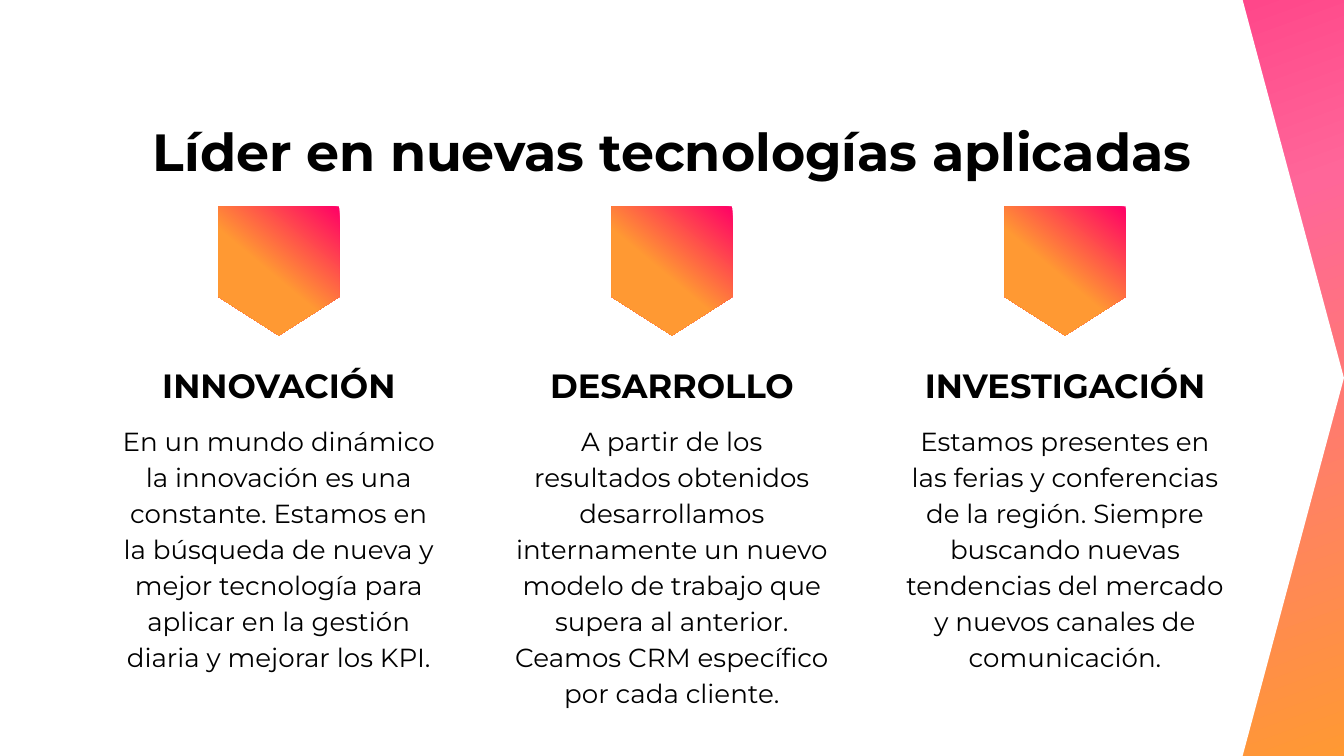
from copy import deepcopy

from pptx import Presentation
from pptx.dml.color import RGBColor
from pptx.enum.shapes import MSO_SHAPE
from pptx.enum.text import MSO_ANCHOR, MSO_AUTO_SIZE, PP_ALIGN
from pptx.oxml.ns import qn
from pptx.util import Pt

PENTAGON = MSO_SHAPE.PENTAGON
TOP = MSO_ANCHOR.TOP
NO_AUTOFIT = MSO_AUTO_SIZE.NONE
CENTER = PP_ALIGN.CENTER

BLACK = RGBColor(0x00, 0x00, 0x00)
WHITE = RGBColor(0xFF, 0xFF, 0xFF)
MAGENTA = RGBColor(0xFF, 0x00, 0x66)
PINK = RGBColor(0xFF, 0x66, 0x99)
ORANGE = RGBColor(0xFF, 0x99, 0x33)
FONT = "Montserrat"

TITLE = "Líder en nuevas tecnologías aplicadas"
COLUMNS = [
    ("INNOVACIÓN",
     "En un mundo dinámico la innovación es una constante. Estamos en la "
     "búsqueda de nueva y mejor tecnología para aplicar en la gestión diaria "
     "y mejorar los KPI."),
    ("DESARROLLO",
     "A partir de los resultados obtenidos desarrollamos internamente un nuevo "
     "modelo de trabajo que supera al anterior. Ceamos CRM específico por cada "
     "cliente."),
    ("INVESTIGACIÓN",
     "Estamos presentes en las ferias y conferencias de la región. Siempre "
     "buscando nuevas tendencias del mercado y nuevos canales de comunicación."),
]
BACKGROUND_STOPS = [(0, MAGENTA), (0.53, PINK), (1, ORANGE)]
BADGE_STOPS = [(0, MAGENTA), (0.54, ORANGE), (1, ORANGE)]

SLIDE_WIDTH, SLIDE_HEIGHT = 720, 405
MARGIN = 56.2
COLUMN_WIDTH = 186.4
COLUMN_STEP = (SLIDE_WIDTH - 2 * MARGIN - COLUMN_WIDTH) / (len(COLUMNS) - 1)
BADGE_LENGTH, BADGE_BREADTH, BADGE_TOP = 69.1, 64.8, 112.8
HEADING_TOP, HEADING_HEIGHT = 185, 45.4
BODY_TOP, BODY_HEIGHT = 218.2, 150


def fill_gradient(fill, element, stops, clockwise_angle):
    fill.gradient()
    fill.gradient_angle = 360 - clockwise_angle
    stop_list = element.find(".//" + qn("a:gsLst"))
    while len(stop_list) < len(stops):
        stop_list.append(deepcopy(stop_list[0]))
    for stop, (position, color) in zip(fill.gradient_stops, stops):
        stop.position = position
        stop.color.rgb = color


def add_pentagon(slide, left, top, width, height, adjustment):
    shape = slide.shapes.add_shape(PENTAGON, Pt(left), Pt(top), Pt(width), Pt(height))
    shape.adjustments[0] = adjustment
    shape.shadow.inherit = False
    shape.line.fill.background()
    return shape


def write_text(shape, text, *, size, bold=False, line_spacing=1.0, space_after=0):
    frame = shape.text_frame
    frame.word_wrap = True
    frame.auto_size = NO_AUTOFIT
    frame.vertical_anchor = TOP
    frame.margin_left = frame.margin_right = Pt(7.2)
    frame.margin_top = frame.margin_bottom = Pt(7.2)
    frame.text = text
    paragraph = frame.paragraphs[0]
    paragraph.alignment = CENTER
    paragraph.line_spacing = line_spacing
    paragraph.space_after = Pt(space_after)
    font = paragraph.runs[0].font
    font.name = FONT
    font.size = Pt(size)
    font.bold = bold
    font.color.rgb = BLACK


def add_column(slide, left, heading, body):
    center = left + COLUMN_WIDTH / 2
    badge = add_pentagon(slide, center - BADGE_LENGTH / 2, BADGE_TOP,
                         BADGE_LENGTH, BADGE_BREADTH, 0.319)
    badge.rotation = 90
    fill_gradient(badge.fill, badge.element, BADGE_STOPS, 40)

    for text, top, height, size, bold in [
        (heading, HEADING_TOP, HEADING_HEIGHT, 18, True),
        (body, BODY_TOP, BODY_HEIGHT, 14, False),
    ]:
        box = slide.shapes.add_textbox(Pt(left), Pt(top), Pt(COLUMN_WIDTH), Pt(height))
        write_text(box, text, size=size, bold=bold, line_spacing=1.15, space_after=16)


def main():
    presentation = Presentation()
    presentation.slide_width = Pt(SLIDE_WIDTH)
    presentation.slide_height = Pt(SLIDE_HEIGHT)
    slide = presentation.slides.add_slide(presentation.slide_layouts.get_by_name("Title Only"))
    fill_gradient(slide.background.fill, slide.element, BACKGROUND_STOPS, 70)

    panel = add_pentagon(slide, 0, 0, SLIDE_WIDTH, SLIDE_HEIGHT, 0.134)
    panel.fill.solid()
    panel.fill.fore_color.rgb = WHITE
    slide.shapes.element.insert(2, panel.element)

    title = slide.shapes.title
    title.left, title.top = Pt(MARGIN), Pt(56.9)
    title.width, title.height = Pt(SLIDE_WIDTH - 2 * MARGIN), Pt(45.4)
    write_text(title, TITLE, size=28, bold=True)

    for index, (heading, body) in enumerate(COLUMNS):
        add_column(slide, MARGIN + index * COLUMN_STEP, heading, body)

    presentation.save("out.pptx")


if __name__ == "__main__":
    main()
